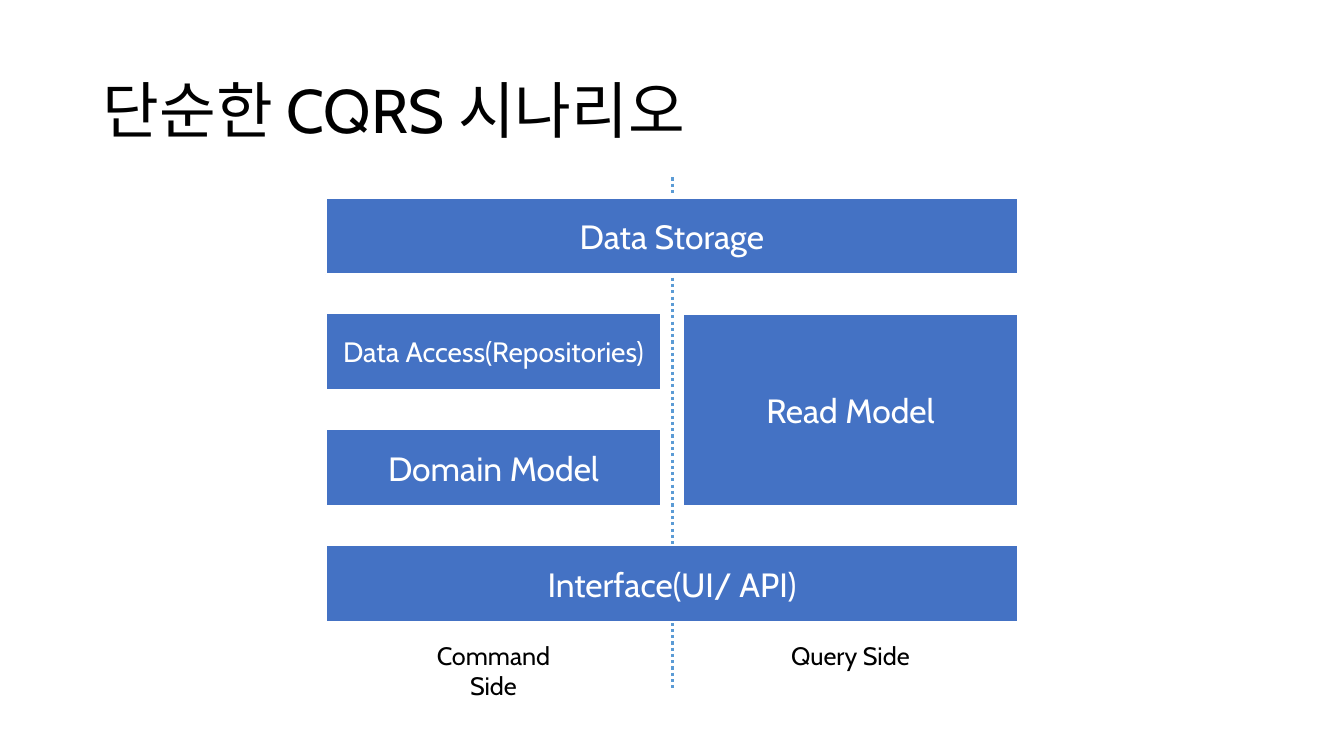
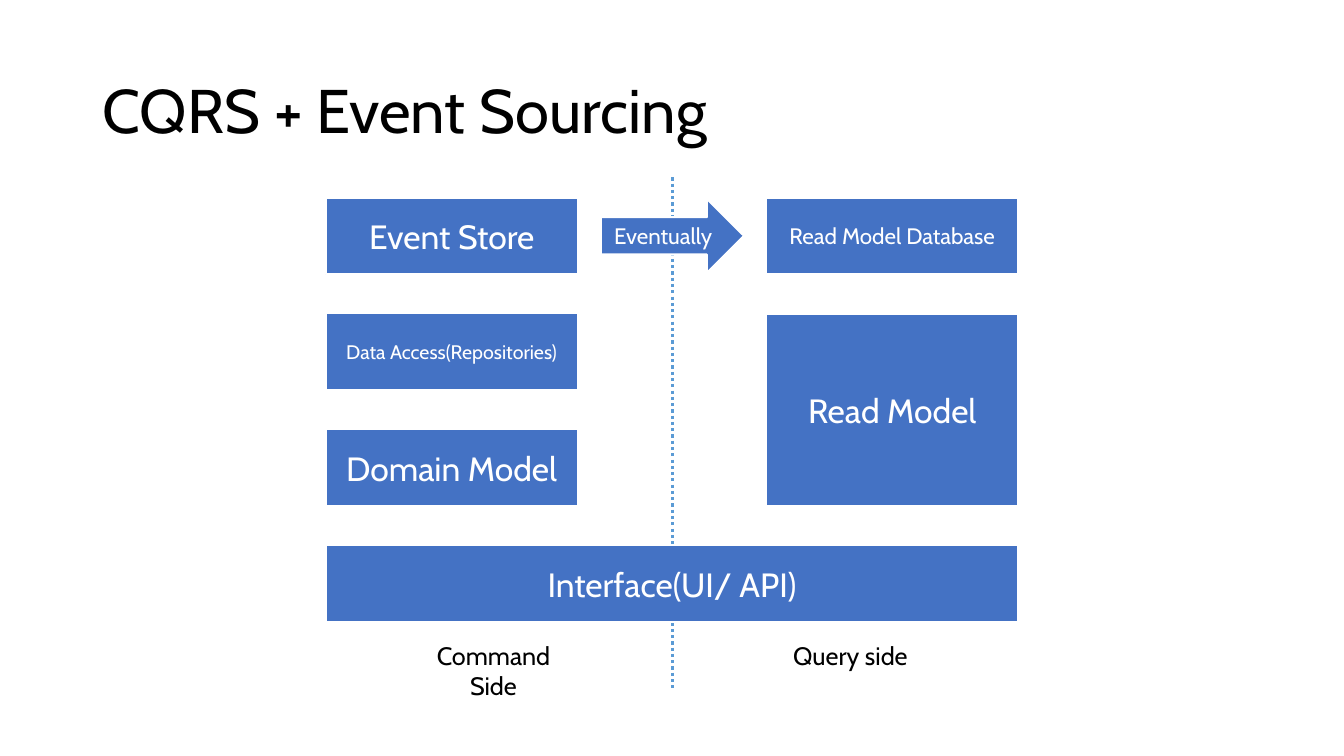
"""Build two slides that compare simple CQRS with CQRS plus event sourcing."""
from dataclasses import dataclass

from lxml import etree
from pptx import Presentation
from pptx.dml.color import RGBColor
from pptx.enum.dml import MSO_LINE
from pptx.enum.shapes import MSO_CONNECTOR, MSO_SHAPE
from pptx.enum.text import MSO_ANCHOR, PP_ALIGN
from pptx.oxml.ns import qn
from pptx.util import Inches, Pt

RECTANGLE, RIGHT_ARROW = MSO_SHAPE.RECTANGLE, MSO_SHAPE.RIGHT_ARROW
STRAIGHT, DOTTED = MSO_CONNECTOR.STRAIGHT, MSO_LINE.ROUND_DOT
LEFT, CENTER = PP_ALIGN.LEFT, PP_ALIGN.CENTER
TOP, MIDDLE = MSO_ANCHOR.TOP, MSO_ANCHOR.MIDDLE


@dataclass(frozen=True)
class Theme:
    font: str = "Cabin"
    block: RGBColor = RGBColor(0x44, 0x72, 0xC4)
    divider: RGBColor = RGBColor(0x5B, 0x9B, 0xD5)
    light: RGBColor = RGBColor(0xFF, 0xFF, 0xFF)
    dark: RGBColor = RGBColor(0, 0, 0)
    title: int = 44
    large: int = 24
    medium: int = 20
    label: int = 18
    small: int = 16
    tiny: int = 14
    outline: float = 1.5
    divider_width: float = 2.25


THEME = Theme()
SLIDE_WIDTH, SLIDE_HEIGHT = 13.33, 7.5
GRID_LEFT, GRID_TOP, GRID_WIDTH = 3.23, 1.96, 6.87
ROW_HEIGHT, ROW_PITCH = 0.76, 1.15
SIDE_WIDTH = 3.33
LABEL_TOP, LABEL_WIDTH, LABEL_HEIGHT = 6.3, 1.6, 0.4
TITLE_BOX = (0.92, 0.4, 11.5, 1.45)
DIVIDER_X, DIVIDER_TOP, DIVIDER_BOTTOM = 6.67, 1.76, 6.84
ARROW_BOX = (5.96, 1.97, 1.42, 0.74)

# Each block: text, column, first row, rows spanned, type size.
SHARED_BLOCKS = [
    ("Interface(UI/ API)", "full", 3, 1, THEME.large),
    ("Domain Model", "command", 2, 1, THEME.large),
    ("Read Model", "query", 1, 2, THEME.large),
]
SLIDES = [
    {
        "title": "단순한 CQRS 시나리오",
        "column_width": 3.33,
        "blocks": [
            ("Data Storage", "full", 0, 1, THEME.large),
            ("Data Access(Repositories)", "command", 1, 1, THEME.medium),
        ],
        "labels": {"command": "Command Side", "query": "Query Side"},
        "arrow": None,
    },
    {
        "title": "CQRS + Event Sourcing",
        "column_width": 2.5,
        "blocks": [
            ("Event Store", "command", 0, 1, THEME.large),
            ("Data Access(Repositories)", "command", 1, 1, THEME.tiny),
            ("Read Model Database", "query", 0, 1, THEME.small),
        ],
        "labels": {"command": "Command Side", "query": "Query side"},
        "arrow": "Eventually",
    },
]


def column_span(column, width):
    """Return the left edge and width of a column."""
    return {
        "full": (GRID_LEFT, GRID_WIDTH),
        "command": (GRID_LEFT, width),
        "query": (GRID_LEFT + GRID_WIDTH - width, width),
    }[column]


def write_text(shape, text, size, color, alignment=CENTER, anchor=MIDDLE):
    """Write one styled run into a shape and return its paragraph."""
    frame = shape.text_frame
    frame.word_wrap = True
    frame.vertical_anchor = anchor
    paragraph = frame.paragraphs[0]
    paragraph.alignment = alignment
    run = paragraph.add_run()
    run.text = text
    run.font.name = THEME.font
    run.font.size = Pt(size)
    run.font.color.rgb = color
    return paragraph


def add_block(slide, kind, box, text, size):
    """Add a filled shape with centred text."""
    shape = slide.shapes.add_shape(kind, *map(Inches, box))
    shape.shadow.inherit = False
    shape.fill.solid()
    shape.fill.fore_color.rgb = THEME.block
    shape.line.color.rgb = THEME.light
    shape.line.width = Pt(THEME.outline)
    write_text(shape, text, size, THEME.light)


def add_divider(slide):
    """Add the dotted line between the command and query sides."""
    ends = (DIVIDER_X, DIVIDER_TOP, DIVIDER_X, DIVIDER_BOTTOM)
    connector = slide.shapes.add_connector(STRAIGHT, *map(Inches, ends))
    connector.line.color.rgb = THEME.divider
    connector.line.width = Pt(THEME.divider_width)
    connector.line.dash_style = DOTTED
    etree.SubElement(connector._element.spPr, qn("a:effectLst"))


def add_title(slide, text):
    """Add the slide title."""
    title = slide.shapes.add_textbox(*map(Inches, TITLE_BOX))
    paragraph = write_text(title, text, THEME.title, THEME.dark, LEFT)
    paragraph.line_spacing = 0.9


def add_label(slide, column, text):
    """Add a side label centred below its half of the grid."""
    left, width = column_span(column, SIDE_WIDTH)
    box = (left + (width - LABEL_WIDTH) / 2, LABEL_TOP, LABEL_WIDTH, LABEL_HEIGHT)
    label = slide.shapes.add_textbox(*map(Inches, box))
    write_text(label, text, THEME.label, THEME.dark, anchor=TOP)


def build_slide(presentation, content):
    """Build one architecture slide."""
    slide = presentation.slides.add_slide(presentation.slide_layouts[6])
    add_divider(slide)
    add_title(slide, content["title"])
    for text, column, row, rows, size in SHARED_BLOCKS + content["blocks"]:
        left, width = column_span(column, content["column_width"])
        top = GRID_TOP + row * ROW_PITCH
        height = ROW_HEIGHT + (rows - 1) * ROW_PITCH
        add_block(slide, RECTANGLE, (left, top, width, height), text, size)
    for column, text in content["labels"].items():
        add_label(slide, column, text)
    if content["arrow"]:
        add_block(slide, RIGHT_ARROW, ARROW_BOX, content["arrow"], THEME.small)


def main():
    """Build and save the presentation."""
    presentation = Presentation()
    presentation.slide_width = Inches(SLIDE_WIDTH)
    presentation.slide_height = Inches(SLIDE_HEIGHT)
    for content in SLIDES:
        build_slide(presentation, content)
    presentation.save("out.pptx")


if __name__ == "__main__":
    main()
